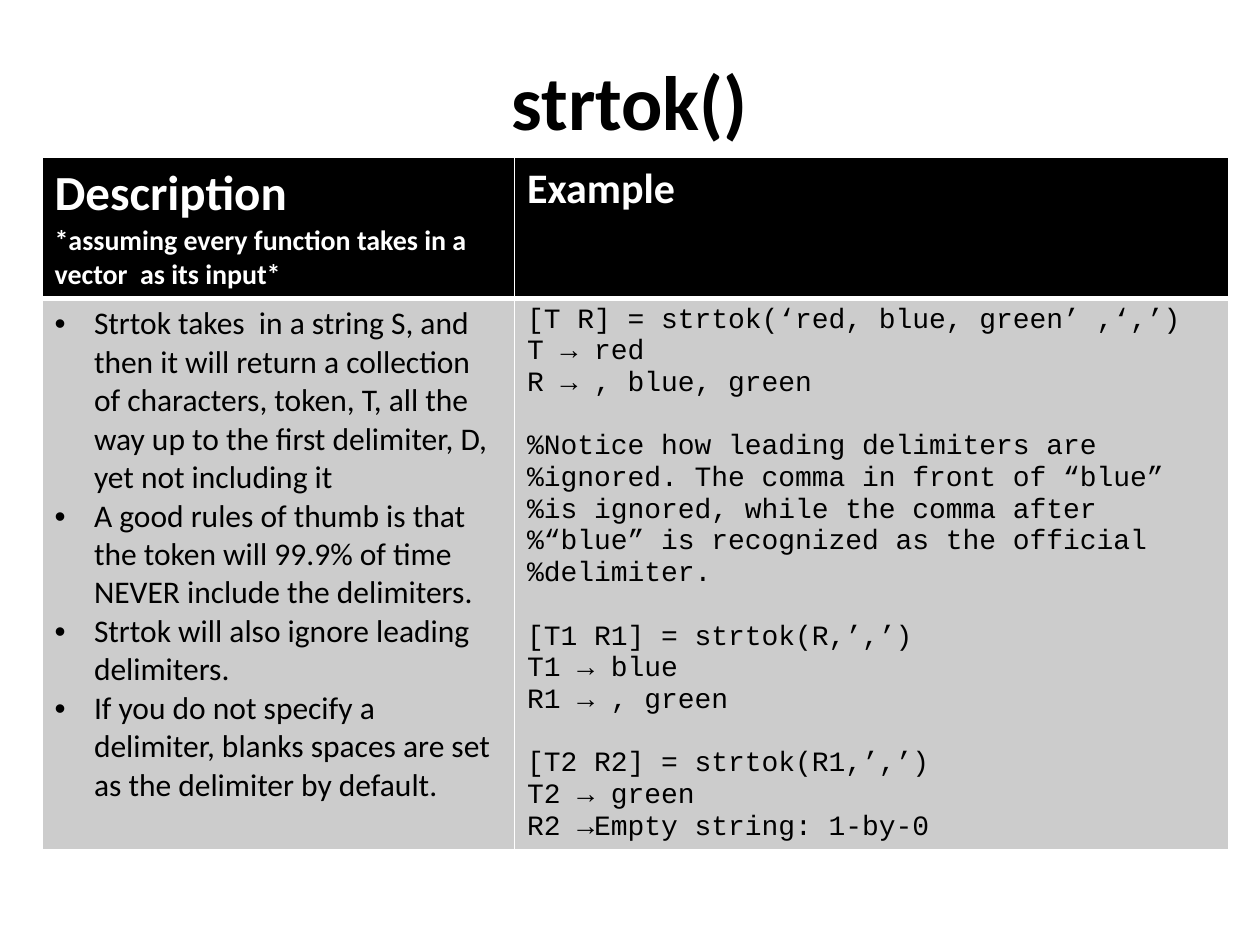
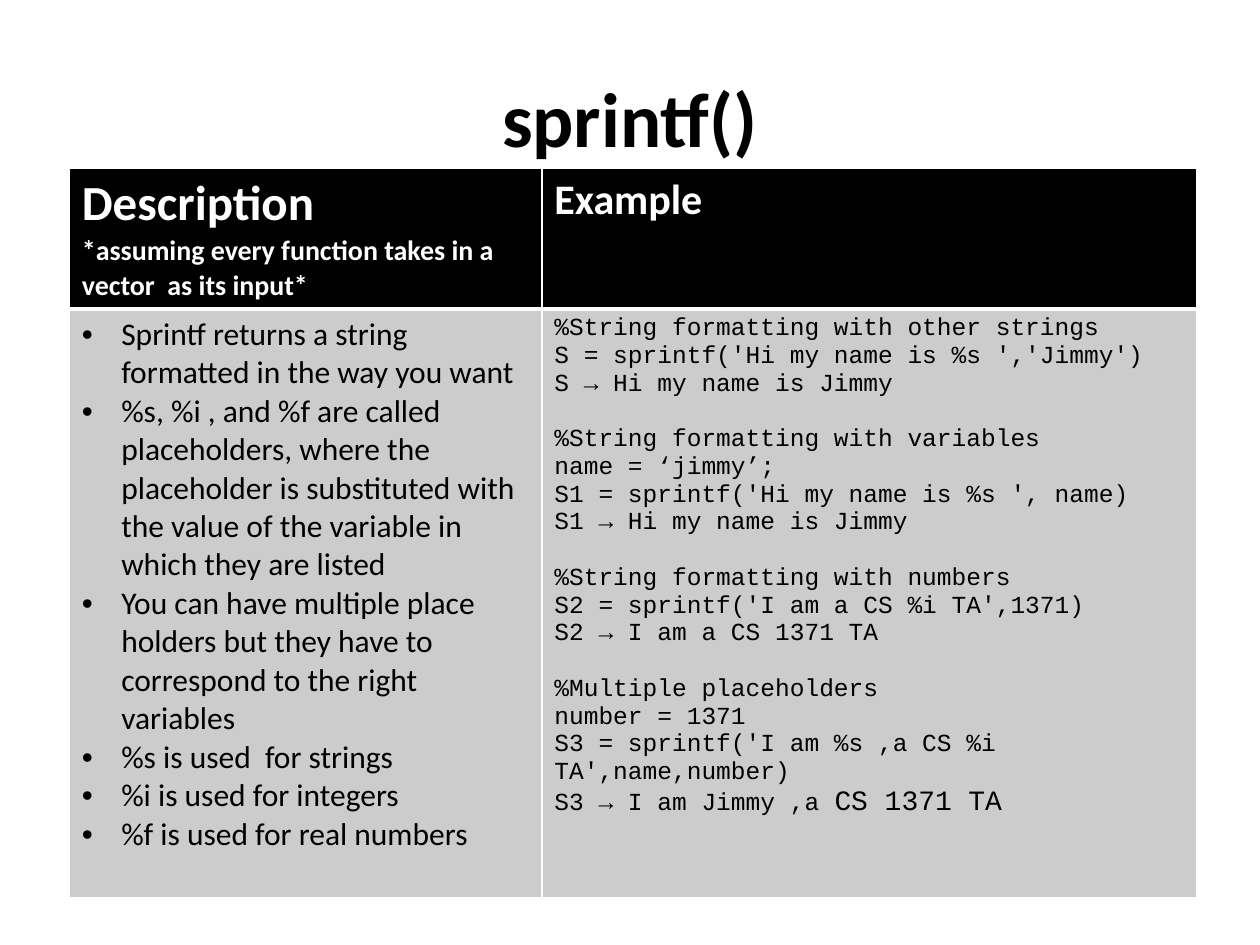
from dataclasses import dataclass

from lxml import etree
from pptx import Presentation
from pptx.dml.color import RGBColor
from pptx.enum.text import MSO_ANCHOR, PP_ALIGN
from pptx.oxml.ns import qn
from pptx.util import Pt

CENTER = PP_ALIGN.CENTER
MIDDLE = MSO_ANCHOR.MIDDLE
TITLE_ONLY = 5

COLORS = {"ink": "000000", "paper": "FFFFFF", "body": "CCCCCC"}
TEXT_FONT = "Calibri"
CODE_FONT = "Courier New"
CODE_LINE_HEIGHT = 1.133  # line pitch of the code font, in ems
BULLET_INDENT = 22.5
HEADER_HEIGHT = 80
DESCRIPTION_WIDTH = 270
TITLE_BOX = {"left": 36, "width": 648, "height": 90}
THIN, THICK = 1, 3
HEADER_EDGES = {"lnL": THIN, "lnR": THIN, "lnT": THIN, "lnB": THICK}
BODY_EDGES = {"lnL": THIN, "lnR": THIN, "lnT": THICK, "lnB": THIN}


@dataclass(frozen=True)
class Style:
    size: float
    font: str = TEXT_FONT
    color: str = "ink"
    bold: bool = False


@dataclass(frozen=True)
class FunctionSlide:
    name: str
    title_top: float
    table_left: float
    table_top: float
    example_width: float
    body_height: float
    code_size: float
    points: list[str]
    examples: list[list[str]]  # groups of code lines, set apart by a gap
    closing: str = ""  # larger end of the last code line


TITLE = Style(44, bold=True)
HEADING = Style(28, color="paper", bold=True)
SUBHEADING = Style(16, color="paper", bold=True)
EXAMPLE_HEADING = Style(24, color="paper", bold=True)
POINT = Style(18)
CLOSING = Style(16, CODE_FONT)


def add_run(paragraph, text: str, style: Style) -> None:
    run = paragraph.add_run()
    run.text = text
    values = {"size": Pt(style.size), "name": style.font, "bold": style.bold}
    for attribute, value in values.items():
        setattr(run.font, attribute, value)
    run.font.color.rgb = RGBColor.from_string(COLORS[style.color])


def add_line(frame, text: str, style: Style):
    """Write a paragraph, using the empty first one when it is still free."""
    first = frame.paragraphs[0]
    paragraph = frame.add_paragraph() if first.runs else first
    add_run(paragraph, text, style)
    return paragraph


def add_bullet(paragraph) -> None:
    properties = paragraph._p.get_or_add_pPr()
    properties.set("marL", str(Pt(BULLET_INDENT)))
    properties.set("indent", str(-Pt(BULLET_INDENT)))
    etree.SubElement(properties, qn("a:buFont"), typeface="Arial")
    etree.SubElement(properties, qn("a:buChar"), char="•")


def format_cell(cell, fill: str, edges: dict[str, float]) -> None:
    properties = cell._tc.get_or_add_tcPr()
    for edge, width in edges.items():
        line = etree.SubElement(properties, qn(f"a:{edge}"), w=str(Pt(width)))
        solid = etree.SubElement(line, qn("a:solidFill"))
        etree.SubElement(solid, qn("a:srgbClr"), val=COLORS["paper"])
    cell.fill.solid()
    cell.fill.fore_color.rgb = RGBColor.from_string(COLORS[fill])


def add_title(slide, content: FunctionSlide) -> None:
    title = slide.shapes.title
    for attribute, value in {**TITLE_BOX, "top": content.title_top}.items():
        setattr(title, attribute, Pt(value))
    title.text_frame.vertical_anchor = MIDDLE
    add_line(title.text_frame, content.name, TITLE).alignment = CENTER


def write_examples(frame, content: FunctionSlide) -> None:
    code = Style(content.code_size, CODE_FONT)
    for group_index, group in enumerate(content.examples):
        for line_index, text in enumerate(group):
            paragraph = add_line(frame, text, code)
            if group_index and not line_index:
                paragraph.space_before = Pt(round(code.size * CODE_LINE_HEIGHT, 1))
    if content.closing:
        add_run(paragraph, content.closing, CLOSING)


def add_function_table(slide, content: FunctionSlide) -> None:
    widths = (DESCRIPTION_WIDTH, content.example_width)
    heights = (HEADER_HEIGHT, content.body_height)
    table = slide.shapes.add_table(
        2, 2, Pt(content.table_left), Pt(content.table_top),
        Pt(sum(widths)), Pt(sum(heights))).table
    table.horz_banding = False
    for column, width in zip(table.columns, widths):
        column.width = Pt(width)
    for row, height, fill, edges in zip(
            table.rows, heights, ("ink", "body"), (HEADER_EDGES, BODY_EDGES)):
        row.height = Pt(height)
        for cell in row.cells:
            format_cell(cell, fill, edges)

    # Header row
    description = table.cell(0, 0).text_frame
    add_line(description, "Description", HEADING)
    add_line(description, "*assuming every function takes in a vector  as its input*", SUBHEADING)
    add_line(table.cell(0, 1).text_frame, "Example", EXAMPLE_HEADING)

    # Body row
    for point in content.points:
        add_bullet(add_line(table.cell(1, 0).text_frame, point, POINT))
    write_examples(table.cell(1, 1).text_frame, content)


STRTOK = FunctionSlide(
    name="strtok()", title_top=12, table_left=24, table_top=90,
    example_width=408, body_height=314.5, code_size=16,
    points=[
        "Strtok takes  in a string S, and then it will return a collection of characters, "
        "token, T, all the way up to the first delimiter, D, yet not including it",
        "A good rules of thumb is that the token will 99.9% of time NEVER include the delimiters.",
        "Strtok will also ignore leading delimiters.",
        "If you do not specify a delimiter, blanks spaces are set as the delimiter by default.",
    ],
    examples=[
        ["[T R] = strtok(‘red, blue, green’ ,‘,’)", "T → red", "R → , blue, green"],
        ["%Notice how leading delimiters are %ignored. The comma in front of “blue” "
         "%is ignored, while the comma after %“blue” is recognized as the official %delimiter."],
        ["[T1 R1] = strtok(R,’,’)", "T1 → blue", "R1 → , green"],
        ["[T2 R2] = strtok(R1,’,’)", "T2 → green", "R2 →Empty string: 1-by-0"],
    ])

SPRINTF = FunctionSlide(
    name="sprintf()", title_top=21.6, table_left=39.6, table_top=96,
    example_width=374.4, body_height=336.5, code_size=14,
    points=[
        "Sprintf returns a string formatted in the way you want",
        "%s, %i , and %f are called placeholders, where the placeholder is substituted "
        "with the value of the variable in which they are listed",
        "You can have multiple place holders but they have to correspond to the right variables",
        "%s is used  for strings",
        "%i is used for integers",
        "%f is used for real numbers",
    ],
    examples=[
        ["%String formatting with other strings",
         "S = sprintf('Hi my name is %s ','Jimmy')",
         "S → Hi my name is Jimmy"],
        ["%String formatting with variables",
         "name = ‘jimmy’;",
         "S1 = sprintf('Hi my name is %s ', name)",
         "S1 → Hi my name is Jimmy"],
        ["%String formatting with numbers",
         "S2 = sprintf('I am a CS %i TA',1371)",
         "S2 → I am a CS 1371 TA"],
        ["%Multiple placeholders",
         "number = 1371",
         "S3 = sprintf('I am %s ,a CS %i TA',name,number)",
         "S3 → I am Jimmy ,a "],
    ],
    closing="CS 1371 TA")

# Build the slides
deck = Presentation()
deck.slide_width, deck.slide_height = Pt(720), Pt(540)
for function in (STRTOK, SPRINTF):
    page = deck.slides.add_slide(deck.slide_layouts[TITLE_ONLY])
    add_title(page, function)
    add_function_table(page, function)
deck.save("out.pptx")
